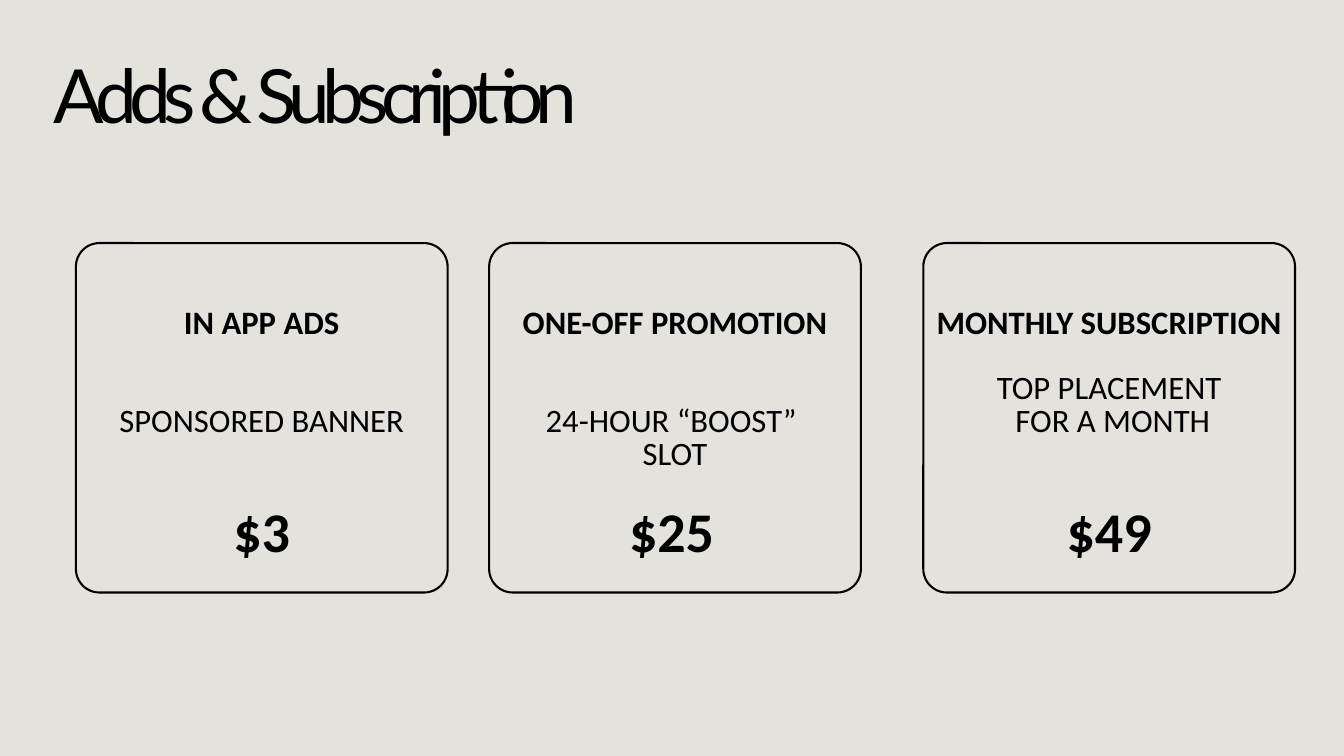
from pptx import Presentation
from pptx.dml.color import RGBColor
from pptx.enum.shapes import MSO_SHAPE
from pptx.enum.text import PP_ALIGN
from pptx.util import Cm, Pt

BLACK = RGBColor(0x00, 0x00, 0x00)
STONE = RGBColor(0xE4, 0xE2, 0xDD)

CARD_TOP, CARD_WIDTH, CARD_HEIGHT = 9.19, 14.05, 13.21
CORNER_RADIUS = 0.89

PLANS = [
    (2.87, 2.87, "IN APP ADS", 70, ["SPONSORED BANNER"], "$3"),
    (18.49, 18.36, "ONE-OFF PROMOTION", 70, ["24-HOUR “BOOST” ", "SLOT"], "$25"),
    (34.9, 34.9, "MONTHLY SUBSCRIPTION", 35, ["TOP PLACEMENT", " FOR A MONTH"], "$49"),
]


def add_box(left, top, width, height):
    box = page.shapes.add_textbox(Cm(left), Cm(top), Cm(width), Cm(height))
    frame = box.text_frame
    frame.word_wrap = True
    frame.margin_left = frame.margin_right = 0
    frame.margin_top = frame.margin_bottom = 0
    return frame


def write_line(para, text, size, spacing, bold=False, font="Calibri", align=PP_ALIGN.CENTER):
    para.alignment = align
    para.line_spacing = Pt(spacing)
    span = para.add_run()
    span.text = text
    span.font.name = font
    span.font.size = Pt(size)
    span.font.bold = bold
    span.font.color.rgb = BLACK
    return span


deck = Presentation()
deck.slide_width = Cm(50.8)
deck.slide_height = Cm(28.58)
page = deck.slides.add_slide(deck.slide_layouts[6])
page.background.fill.solid()
page.background.fill.fore_color.rgb = STONE

for card_left, price_left, name, gap, details, price in PLANS:
    card = page.shapes.add_shape(
        MSO_SHAPE.ROUNDED_RECTANGLE,
        Cm(card_left), Cm(CARD_TOP), Cm(CARD_WIDTH), Cm(CARD_HEIGHT),
    )
    card.adjustments[0] = CORNER_RADIUS / CARD_HEIGHT
    card.shadow.inherit = False
    card.fill.background()
    card.line.color.rgb = BLACK
    card.line.width = Pt(2.25)

    offer = add_box(card_left, 11.66, CARD_WIDTH, 6.05)
    write_line(offer.paragraphs[0], name, 35, 35, bold=True)
    for index, detail in enumerate(details):
        para = offer.add_paragraph()
        para.space_before = Pt(0 if index else gap)
        write_line(para, detail, 35, 35)

    cost = add_box(price_left, 19.18, CARD_WIDTH, 2.18)
    write_line(cost.paragraphs[0], price, 60, 60, bold=True)

title = add_box(2.03, 1.27, 29.51, 3.84)
span = write_line(title.paragraphs[0], "Adds & Subscription", 80, 112, font="Lato", align=PP_ALIGN.LEFT)
span.font._element.set("spc", "-830")

deck.save("out.pptx")
